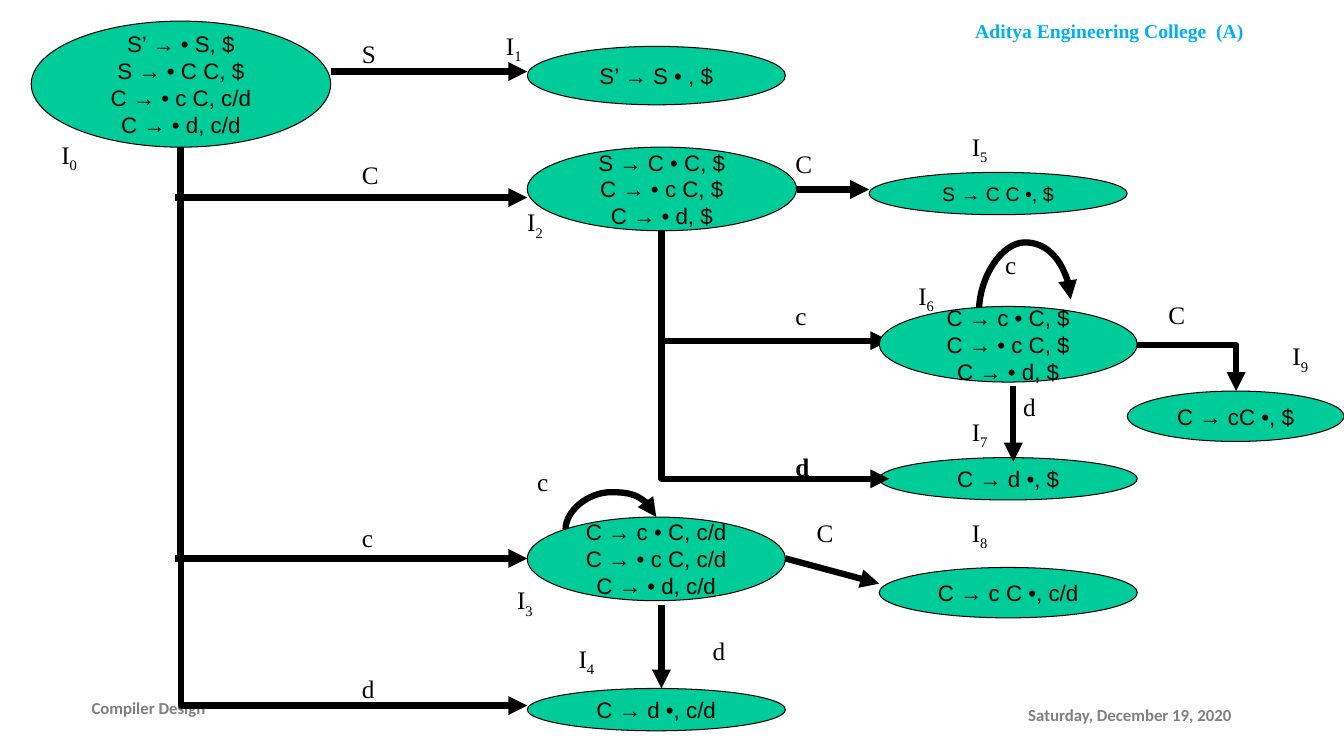
from lxml.etree import SubElement as Sub
from pptx import Presentation
from pptx.dml.color import RGBColor as Rgb
from pptx.enum.shapes import MSO_CONNECTOR as Conn, MSO_SHAPE as Shape
from pptx.enum.text import MSO_ANCHOR as Anchor, PP_ALIGN as Align
from pptx.oxml.ns import qn
from pptx.util import Inches, Pt

BLACK, GREEN, GREY, BLUE = "000000", "00CC99", "808080", "00B0F0"
SERIF = "Times New Roman"

STATES = [
    (5.23, 6.83, 2.56, 0.42, 16, ["C → d •, c/d"]),
    (5.23, 0.46, 2.56, 0.58, 16, ["S’ → S • , $"]),
    (5.23, 1.46, 2.67, 0.83, 16, ["S → C • C, $", "C → • c C, $", "C → • d, $"]),
    (5.23, 5.13, 2.56, 0.83, 16, ["C → c • C, c/d", "C → • c C, c/d", "C → • d, c/d"]),
    (8.62, 1.71, 2.56, 0.42, 14, ["S → C C •, $"]),
    (8.72, 3.04, 2.56, 0.75, 16, ["C → c • C, $", "C → • c C, $", "C → • d, $"]),
    (8.72, 4.54, 2.56, 0.42, 16, ["C → d •, $"]),
    (8.72, 5.63, 2.56, 0.5, 16, ["C → c C •, c/d"]),
    (0.31, 0.21, 2.97, 1.25, 16,
     ["S’ → • S, $", "S → • C C, $", "C → • c C, c/d", "C → • d, c/d"]),
    (11.18, 3.88, 2.15, 0.5, 16, ["C → cC •, $"]),
]
ARROWS = [
    (6.56, 6, 6.56, 6.83),
    (3.28, 0.71, 5.23, 0.71),
    (1.74, 1.96, 5.23, 1.96),
    (7.9, 1.88, 8.62, 1.88),
    (7.79, 5.54, 8.72, 5.79),
    (10.05, 3.83, 10.05, 4.58),
]
LOOPS = [(5.61, 5.25, 6.51, 5.13, 3.06), (9.71, 3.09, 10.62, 2.97, 5.71)]
DROPS = [(1.79, 1.46, 5.23, 5.54), (6.56, 2.29, 8.82, 4.75)]
MOVES = [
    ("S", 3.49, 0.33), ("C", 3.49, 1.53), ("c", 3.49, 5.13), ("d", 3.49, 6.63),
    ("C", 7.79, 1.42), ("c", 7.79, 2.93), ("c", 5.23, 4.58), ("c", 9.87, 2.42),
    ("C", 8, 5.08), ("C", 11.49, 2.92), ("d", 6.97, 6.25), ("d", 10.05, 3.83),
]
NAMES = [
    (0.51, 1.33), (4.92, 0.25), (5.13, 2), (5.03, 5.75), (5.64, 6.33),
    (9.54, 1.25), (9.01, 2.73), (9.54, 4.08), (9.54, 5.08), (12.72, 3.33),
]


def tint(code):
    return Rgb.from_string(code)


def write(par, text, size, face, color=BLACK, bold=False):
    run = par.add_run()
    run.text = text
    font = run.font
    font.size, font.name, font.bold = Pt(size), face, bold
    font.color.rgb = tint(color)
    return run


def label(slide, x, y, wide, tall=0.4):
    frame = slide.shapes.add_textbox(*map(Inches, (x, y, wide, tall))).text_frame
    frame.word_wrap = True
    return frame.paragraphs[0]


def state(slide, x, y, wide, tall, size, items):
    oval = slide.shapes.add_shape(Shape.OVAL, *map(Inches, (x, y, wide, tall)))
    oval.shadow.inherit = False
    oval.fill.solid()
    oval.fill.fore_color.rgb = tint(GREEN)
    oval.line.color.rgb = tint(BLACK)
    oval.line.width = Pt(0.75)
    frame = oval.text_frame
    frame.word_wrap = False
    frame.vertical_anchor = Anchor.MIDDLE
    for spot, item in enumerate(items):
        par = frame.add_paragraph() if spot else frame.paragraphs[0]
        par.alignment = Align.CENTER
        write(par, item, size, "Arial")


def arrow(slide, x1, y1, x2, y2, kind=Conn.STRAIGHT):
    link = slide.shapes.add_connector(kind, *map(Inches, (x1, y1, x2, y2)))
    link.line.color.rgb = tint(BLACK)
    link.line.width = Pt(4.5)
    props = link._element.spPr
    Sub(props.find(qn("a:ln")), qn("a:tailEnd"), type="triangle")
    Sub(props, qn("a:effectLst"))
    return link


def reform(link, preset, bend=None):
    geom = link._element.spPr.find(qn("a:prstGeom"))
    geom.set("prst", preset)
    if bend is not None:
        guides = geom.find(qn("a:avLst"))
        Sub(guides, qn("a:gd"), name="adj1", fmla=f"val {round(bend * 100000)}")


def upright(link, x1, y1, x2, y2):
    wide, tall = abs(y2 - y1), abs(x2 - x1)
    link.left = Inches((x1 + x2 - wide) / 2)
    link.top = Inches((y1 + y2 - tall) / 2)
    link.width, link.height = Inches(wide), Inches(tall)
    form = link._element.spPr.find(qn("a:xfrm"))
    form.set("rot", str(270 * 60000))
    form.set("flipH", "1" if y2 > y1 else "0")
    form.set("flipV", "0")


def loop(slide, x1, y1, x2, y2, bend):
    link = arrow(slide, x1, y1, x2, y2, Conn.CURVE)
    reform(link, "curvedConnector3", bend)
    upright(link, x1, y1, x2, y2)


def drop(slide, *ends):
    link = arrow(slide, *ends, Conn.ELBOW)
    reform(link, "bentConnector2")
    upright(link, *ends)


def header(slide):
    par = label(slide, 9.09, 0.14, 3.83, 0.34)
    par.alignment = Align.CENTER
    write(par, "Aditya Engineering College  (A)", 14, SERIF, BLUE, True)


def footer(slide):
    par = label(slide, 10.1, 6.94, 2.3)
    write(par, "Saturday, December 19, 2020", 12, "Calibri", GREY, True)
    par = label(slide, 0.81, 6.87, 2.11)
    par.alignment = Align.JUSTIFY
    write(par, "Compiler Design", 12, "Calibri", GREY, True)


def main():
    deck = Presentation()
    deck.slide_width, deck.slide_height = Inches(13.33), Inches(7.5)
    slide = deck.slides.add_slide(deck.slide_layouts[6])
    header(slide)
    footer(slide)
    for item in LOOPS:
        loop(slide, *item)
    arrow(slide, 6.56, 3.38, 8.82, 3.38)
    for item in STATES:
        state(slide, *item)
    for ends in ARROWS:
        arrow(slide, *ends)
    for ends in DROPS:
        drop(slide, *ends)
    reform(arrow(slide, 1.74, 5.54, 5.23, 7, Conn.ELBOW), "bentConnector3", 0.015)
    reform(arrow(slide, 11.28, 3.42, 12.26, 3.88, Conn.ELBOW), "bentConnector2")
    for text, x, y in MOVES:
        write(label(slide, x, y, 0.92), text, 18, SERIF)
    write(label(slide, 7.79, 4.43, 0.92), "d", 18, SERIF, bold=True)
    for index, (x, y) in enumerate(NAMES):
        par = label(slide, x, y, 0.62)
        write(par, "I", 18, SERIF)
        run = write(par, str(index), 18, SERIF)
        run.font._element.set("baseline", "-25000")
    deck.save("out.pptx")


if __name__ == "__main__":
    main()
